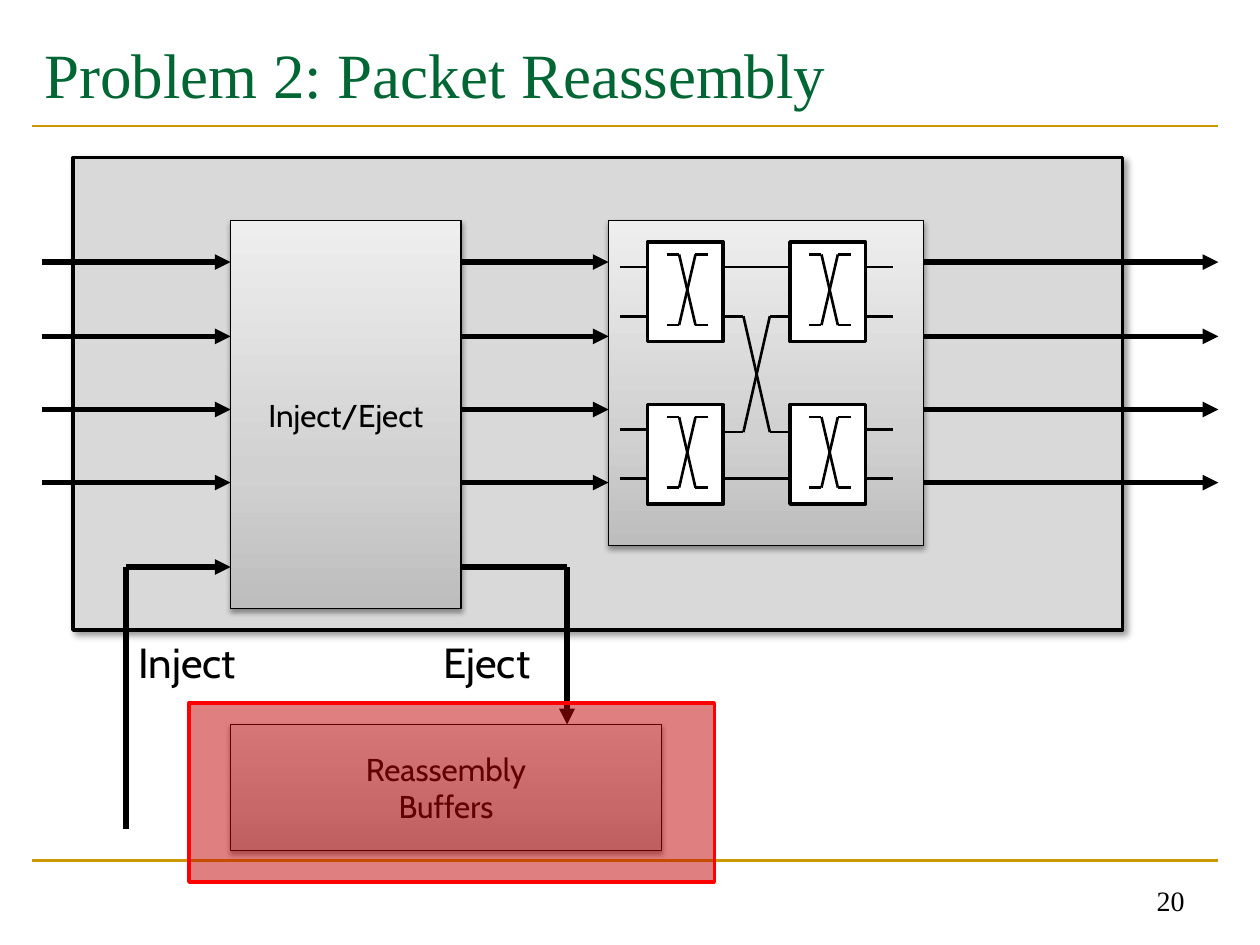
import pptx
import pptx.util
import pptx.dml.color
import pptx.enum.shapes
import pptx.enum.text
import pptx.oxml
import pptx.oxml.ns

Inches, Pt = pptx.util.Inches, pptx.util.Pt
ALIGN, ANCHOR = pptx.enum.text.PP_ALIGN, pptx.enum.text.MSO_ANCHOR
NS = pptx.oxml.ns.nsdecls("a")

# Content: boxes and places in inches
COLORS = {"green": "006633", "gold": "CC9900", "black": "000000", "white": "FFFFFF",
          "grey": "D9D9D9", "red": "FF0000", "dark_red": "C00000"}
GRADIENT = [(0, "BDBDBD"), (35, "D1D1D1"), (100, "EEEEEE")]
SERIF, SANS = "Times New Roman", "Cabin"
TITLE = "Problem 2: Packet Reassembly"
ROUTER = (0.58, 1.25, 8.33, 3.75)
STAGES = [
    ((1.83, 1.75, 1.83, 3.08), ["Inject/Eject"]),
    ((1.83, 5.75, 3.42, 1), ["Reassembly", "Buffers"]),
    ((4.83, 1.75, 2.5, 2.58), []),
]
LABELS = [((1, 5, 1.09, 0.52), "Inject"), ((3.42, 5, 0.93, 0.5), "Eject")]
FOCUS = (1.5, 5.58, 4.17, 1.42)
RULES = [1, 6.83]
LANES = [2.08, 2.67, 3.25, 3.83]
SPANS = [(0.33, 1.83), (3.67, 4.83), (7.33, 9.67)]
TURNS = [  # bent inject and eject paths, arrow on the last leg
    [(1, 6.58), (1, 4.5), (1.83, 4.5)],
    [(3.67, 4.5), (4.5, 4.5), (4.5, 5.75)],
]
COLS, ROWS = (5.14, 6.27), (1.92, 3.21)
SIDE, TALL = 0.6, 0.79
PORTS = (0.2, 0.59)
STUB = 0.22

deck = pptx.Presentation()
deck.slide_width, deck.slide_height = Inches(10), Inches(7.5)
slide = deck.slides.add_slide(deck.slide_layouts[5])
shapes = slide.shapes


def color(name):
    return pptx.dml.color.RGBColor.from_string(COLORS[name])


def line(start, end, width=1.5, name="black", arrow=False):
    points = [Inches(v) for v in (*start, *end)]
    link = shapes.add_connector(pptx.enum.shapes.MSO_CONNECTOR.STRAIGHT, *points)
    link.line.color.rgb = color(name)
    link.line.width = Pt(width)
    if arrow:
        link.line._get_or_add_ln().append(
            pptx.oxml.parse_xml(f'<a:tailEnd {NS} type="triangle"/>'))
    link._element.spPr.append(pptx.oxml.parse_xml(f"<a:effectLst {NS}/>"))


def box(place, fill, edge="black", width=2.0):
    rect = shapes.add_shape(pptx.enum.shapes.MSO_SHAPE.RECTANGLE,
                            *[Inches(v) for v in place])
    rect.fill.solid()
    rect.fill.fore_color.rgb = color(fill)
    rect.line.color.rgb = color(edge)
    rect.line.width = Pt(width)
    rect.shadow.inherit = False
    return rect


def shade(rect, alpha, blur, dist, angle):
    glow = pptx.oxml.parse_xml(
        f'<a:outerShdw {NS} blurRad="{Pt(blur)}" dist="{Pt(dist)}" '
        f'dir="{angle * 60000}" rotWithShape="0"><a:srgbClr val="{COLORS["black"]}">'
        f'<a:alpha val="{alpha * 1000}"/></a:srgbClr></a:outerShdw>')
    rect._element.spPr.find(pptx.oxml.ns.qn("a:effectLst")).append(glow)


def blend(rect):
    stops = "".join(f'<a:gs pos="{pos * 1000}"><a:srgbClr val="{tone}"/></a:gs>'
                    for pos, tone in GRADIENT)
    props = rect._element.spPr
    solid = props.find(pptx.oxml.ns.qn("a:solidFill"))
    props.replace(solid, pptx.oxml.parse_xml(
        f'<a:gradFill {NS} rotWithShape="1"><a:gsLst>{stops}</a:gsLst>'
        '<a:lin ang="16200000" scaled="0"/></a:gradFill>'))


def write(frame, lines, size, font, align, anchor, name="black"):
    frame.vertical_anchor = anchor
    for i, text in enumerate(lines):
        para = frame.add_paragraph() if i else frame.paragraphs[0]
        para.text, para.alignment = text, align
        para.font.size, para.font.name = Pt(size), font
        para.font.color.rgb = color(name)


def label(place, text, size, font, align, anchor, wrap):
    frame = shapes.add_textbox(*[Inches(v) for v in place]).text_frame
    frame.word_wrap = wrap
    write(frame, [text], size, font, align, anchor)


def cross(xs, top, low):
    """Two wires that enter level, swap rows and leave level."""
    a, b, c, d = xs
    for y, other in ((top, low), (low, top)):
        line((a, y), (b, y))
        line((b, y), (c, other))
        line((c, y), (d, y))


# Title, rules and page number
for y in RULES:
    line((0.25, y), (9.67, y), name="gold")
title = shapes.title
title.left, title.top, title.width, title.height = map(Inches, (0.25, 0.17, 9.42, 0.83))
write(title.text_frame, [TITLE], 36, SERIF, ALIGN.LEFT, ANCHOR.MIDDLE, "green")
label((7.17, 6.83, 2.33, 0.5), "20", 16, SERIF, ALIGN.RIGHT, ANCHOR.BOTTOM, True)

# Router and its stages
shade(box(ROUTER, "grey"), 40, 4, 3, 45)
for place, lines in STAGES:
    stage = box(place, "grey", width=0.75)
    blend(stage)
    shade(stage, 38, 3.1, 1.6, 90)
    if lines:
        write(stage.text_frame, lines, 18, SANS, ALIGN.CENTER, ANCHOR.MIDDLE)

# Lanes between the stages
for left, right in SPANS:
    for y in LANES:
        line((left, y), (right, y), 3, arrow=True)

# Inject and eject paths
for start, bend, end in TURNS:
    line(start, bend, 3)
    line(bend, end, 3, arrow=True)
for place, text in LABELS:
    label(place, text, 24, SANS, ALIGN.LEFT, ANCHOR.TOP, False)

# Switches with their outer wires
for y in ROWS:
    for x in COLS:
        box((x, y, SIDE, TALL), "white")
        cross([x + dx for dx in (0.15, 0.25, 0.38, 0.48)], y + 0.1, y + 0.66)
    for port in PORTS:
        for x in (COLS[0] - STUB, COLS[1] + SIDE):
            line((x, y + port), (x + STUB, y + port))

# Wires between the two switch columns
inner = COLS[0] + SIDE
cross((inner, 5.9, 6.11, COLS[1]), 2.51, 3.43)
for y in (ROWS[0] + PORTS[0], ROWS[1] + PORTS[1]):
    line((inner, y), (COLS[1], y))

# See-through highlight over the buffers
focus = box(FOCUS, "dark_red", "red")
tint = focus._element.spPr.find(pptx.oxml.ns.qn("a:solidFill"))[0]
tint.append(pptx.oxml.parse_xml(f'<a:alpha {NS} val="50000"/>'))

deck.save("out.pptx")
